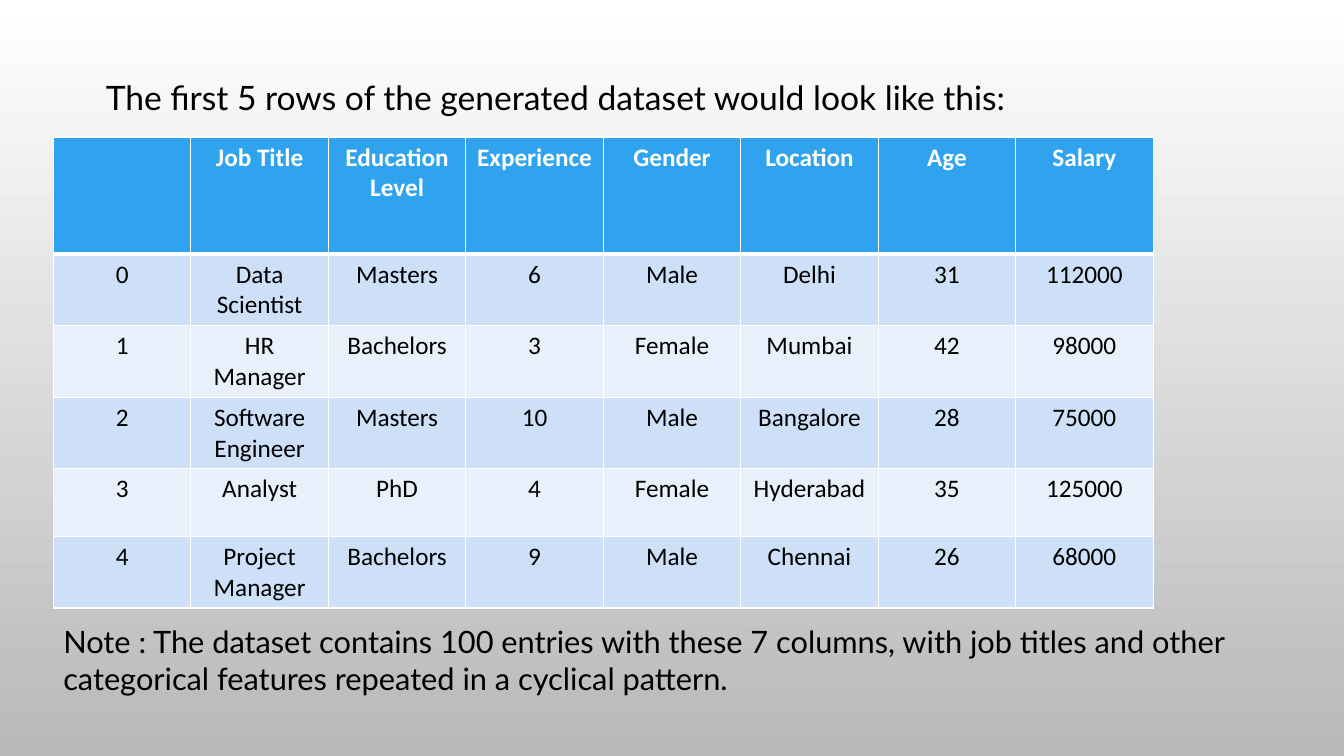
from lxml import etree
from pptx import Presentation
from pptx.dml.color import RGBColor
from pptx.enum import text
from pptx.oxml import ns
from pptx.util import Inches, Pt

TITLE = "The first 5 rows of the generated dataset would look like this:"
NOTE = ("Note : The dataset contains 100 entries with these 7 columns, with job "
        "titles and other categorical features repeated in a cyclical pattern.")
ROWS = [
    ("", "Job Title", "Education Level", "Experience", "Gender", "Location", "Age", "Salary"),
    ("0", "Data Scientist", "Masters", "6", "Male", "Delhi", "31", "112000"),
    ("1", "HR Manager", "Bachelors", "3", "Female", "Mumbai", "42", "98000"),
    ("2", "Software Engineer", "Masters", "10", "Male", "Bangalore", "28", "75000"),
    ("3", "Analyst", "PhD", "4", "Female", "Hyderabad", "35", "125000"),
    ("4", "Project Manager", "Bachelors", "9", "Male", "Chennai", "26", "68000"),
]
BLACK, WHITE, GREY = "000000", "FFFFFF", "B9B9B9"
HEAD, BANDS = "2FA3EE", ("E8F0FC", "CDE0F8")
LEFT, TOP, WIDTH = 0.53, 1.36, 10.91
HEAD_H, ROW_H = 1.16, 0.67
CENTER = text.PP_ALIGN.CENTER


def rgb(code):
    return RGBColor.from_string(code)


def style(para, font, size, color, bold=False, align=None):
    para.alignment = align
    for run in para.runs:
        run.font.name = font
        run.font.size = Pt(size)
        run.font.bold = bold
        run.font.color.rgb = rgb(color)


def add_text(slide, words, box, size, align=None):
    frame = slide.shapes.add_textbox(*map(Inches, box)).text_frame
    frame.word_wrap = True
    frame.auto_size = text.MSO_AUTO_SIZE.SHAPE_TO_FIT_TEXT
    frame.text = words
    style(frame.paragraphs[0], "Lato", size, BLACK, align=align)


def add_borders(cell, row):
    """Draw white cell edges, with a thick rule between header and body."""
    props = cell._tc.get_or_add_tcPr()
    widths = {"L": 1, "R": 1, "T": 3 if row == 1 else 1, "B": 3 if row == 0 else 1}
    for side, width in widths.items():
        line = etree.SubElement(props, ns.qn("a:ln" + side), w=str(Pt(width)))
        fill = etree.SubElement(line, ns.qn("a:solidFill"))
        etree.SubElement(fill, ns.qn("a:srgbClr"), val=WHITE)


def add_grid(slide):
    height = HEAD_H + ROW_H * (len(ROWS) - 1)
    table = slide.shapes.add_table(
        len(ROWS), len(ROWS[0]), *map(Inches, (LEFT, TOP, WIDTH, height))).table
    for r, values in enumerate(ROWS):
        head = r == 0
        table.rows[r].height = Inches(HEAD_H if head else ROW_H)
        for c, value in enumerate(values):
            cell = table.cell(r, c)
            cell.text = value
            style(cell.text_frame.paragraphs[0], "Calibri", 18,
                  WHITE if head else BLACK, head, CENTER)
            add_borders(cell, r)
            cell.fill.solid()
            cell.fill.fore_color.rgb = rgb(HEAD if head else BANDS[r % 2])


def main():
    deck = Presentation()
    deck.slide_width, deck.slide_height = Inches(13.33), Inches(7.5)
    slide = deck.slides.add_slide(deck.slide_layouts[6])

    back = slide.background.fill
    back.gradient()
    back.gradient_angle = 270
    for stop, color in zip(back.gradient_stops, (WHITE, GREY)):
        stop.color.rgb = rgb(color)

    add_grid(slide)
    add_text(slide, TITLE, (LEFT, 0.71, 9.96, 0.5), 24, CENTER)
    add_text(slide, NOTE, (LEFT, 6.13, 12.77, 0.84), 22)
    deck.save("out.pptx")


if __name__ == "__main__":
    main()
